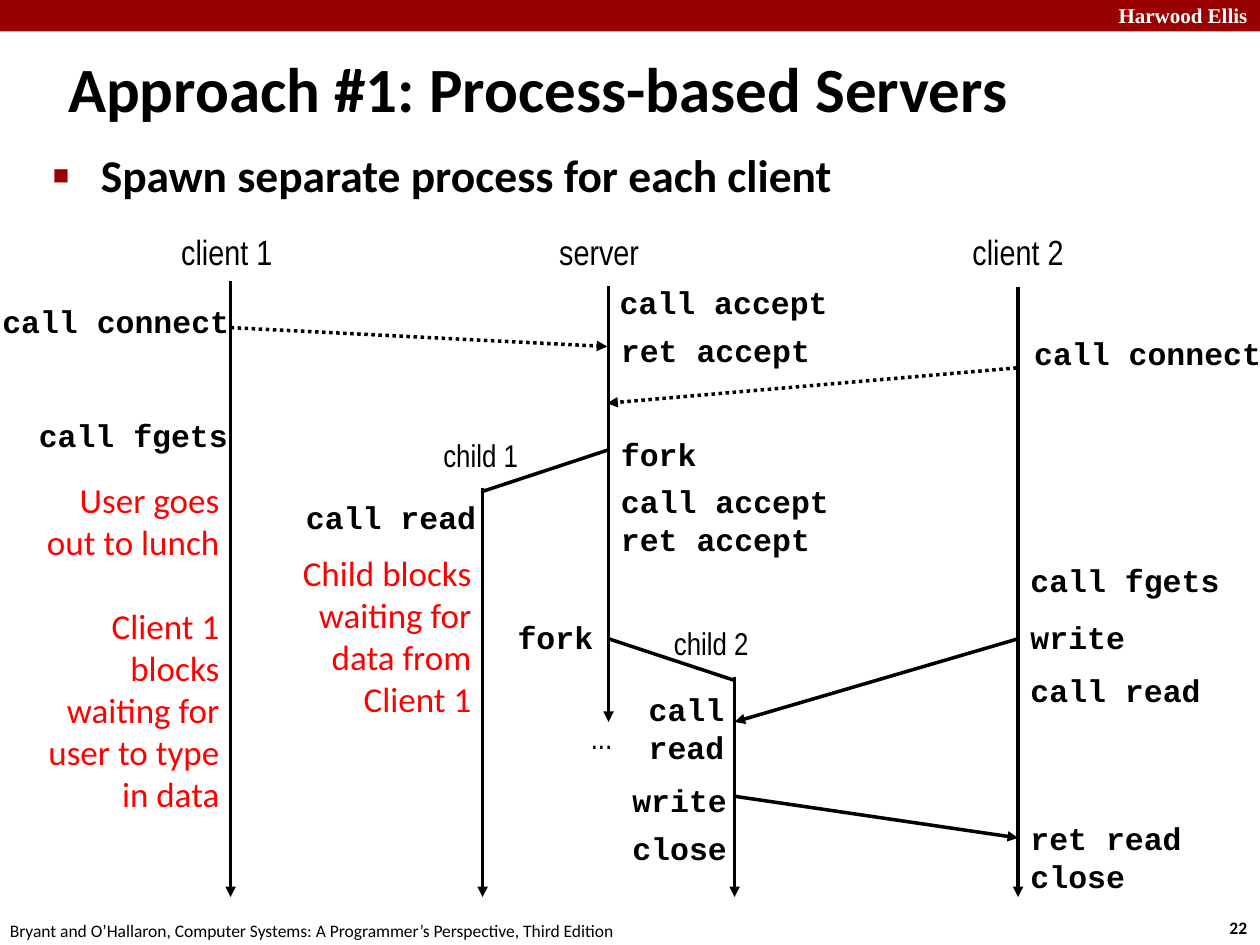
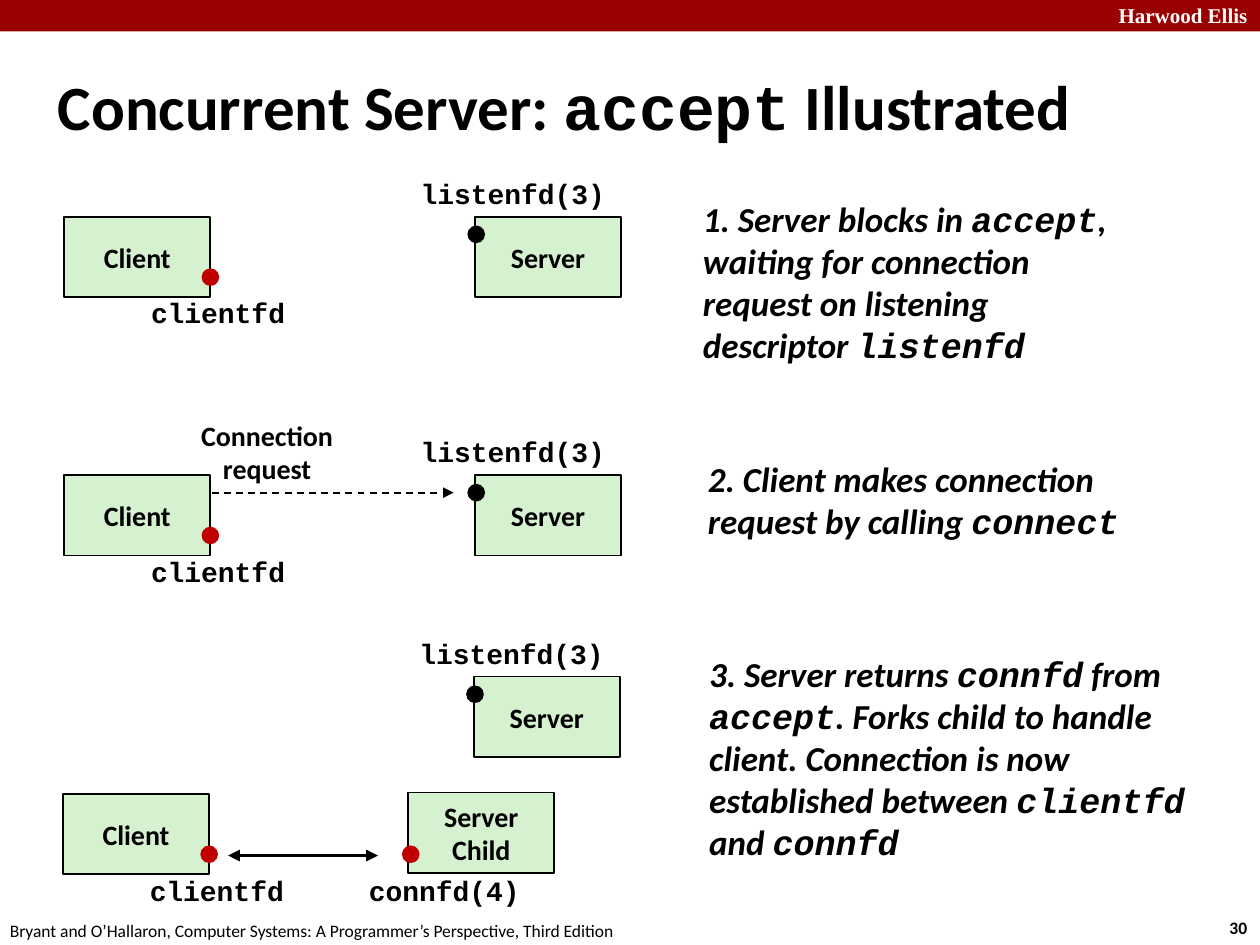
"""Build two slides on process-based concurrent servers."""
from dataclasses import dataclass, replace

import pptx
import pptx.dml.color
import pptx.enum.dml
import pptx.enum.shapes
import pptx.enum.text
import pptx.oxml
import pptx.oxml.ns
import pptx.presentation
import pptx.shapes.base
import pptx.slide
import pptx.text.text
import pptx.util

Inches = pptx.util.Inches
PRESET = pptx.enum.shapes.MSO_SHAPE
ALIGN = pptx.enum.text.PP_ALIGN
ANCHOR = pptx.enum.text.MSO_ANCHOR
DASH = pptx.enum.dml.MSO_LINE
Point = tuple[float, float]
Box = tuple[float, float, float, float]

CRIMSON, BLACK, WHITE = "990000", "000000", "FFFFFF"
ALERT, SOCKET, PALE_GREEN = "FF0000", "C00000", "D5F1CF"
CODE_FONT = "Courier New"


@dataclass(frozen=True)
class TextStyle:
    size: float
    font: str = "Calibri"
    colour: str = BLACK
    bold: bool = False
    italic: bool = False
    align: ALIGN = ALIGN.LEFT


@dataclass(frozen=True)
class Arrow:
    start: Point
    end: Point
    width: float = 2
    dash: DASH | None = None
    ends: tuple[str, ...] = ("tailEnd",)


@dataclass(frozen=True)
class Role:
    caption: str
    socket_colour: str
    socket_offset: Point
    caption_offset: Point


@dataclass(frozen=True)
class Endpoint:
    name: str
    left: float
    top: float
    role: Role


TITLE = TextStyle(36, bold=True)
BULLET = TextStyle(26, bold=True)
FOOTER = TextStyle(10)
BRAND = TextStyle(12, "Times New Roman", WHITE, bold=True, align=ALIGN.RIGHT)
CALL = TextStyle(18, CODE_FONT, bold=True)
CAPTION = replace(CALL, size=16)
ACTOR = TextStyle(20, "Arial Narrow")
CHILD = replace(ACTOR, size=18)
BLOCKED = TextStyle(20, colour=ALERT, align=ALIGN.RIGHT)
NODE = TextStyle(16, bold=True, align=ALIGN.CENTER)
STEP = TextStyle(20, bold=True, italic=True)

CLIENT = Role("clientfd", SOCKET, (1.09, 0.41), (0.59, 0.58))
SERVER = Role("listenfd(3)", BLACK, (-0.06, 0.07), (-0.53, -0.37))
SERVER_CHILD = Role("connfd(4)", SOCKET, (-0.05, 0.42), (-0.41, 0.59))

ACTORS = [("client 1", (1.34, 1.78, 0.93, 0.44), ACTOR),
          ("server", (4.34, 1.78, 0.84, 0.44), ACTOR),
          ("client 2", (7.62, 1.78, 0.93, 0.44), ACTOR),
          ("child 1", (3.42, 3.41, 0.92, 0.4), CHILD),
          ("child 2", (5.25, 4.9, 0.92, 0.4), CHILD),
          ("...", (4.59, 5.65, 0.41, 0.4), CHILD)]

LIFELINES = [(1.83, 2.23, 7.12), (4.83, 2.27, 5.73), (8.08, 2.28, 7.12),
             (3.83, 3.87, 7.12), (5.83, 5.37, 7.12)]

MESSAGES = [Arrow((1.83, 2.6), (4.82, 2.75), dash=DASH.ROUND_DOT),
            Arrow((8.07, 2.92), (4.82, 3.2), dash=DASH.ROUND_DOT),
            Arrow((4.83, 3.57), (3.83, 3.9), ends=()),
            Arrow((4.83, 5.07), (5.83, 5.4), ends=()),
            Arrow((8.08, 5.07), (5.83, 5.73)),
            Arrow((5.83, 6.32), (8.08, 6.65))]

CALLS = [("call connect", -0.08, 2.35), ("call fgets", 0.21, 3.25),
         ("call accept", 4.82, 2.2), ("ret accept", 4.83, 2.58),
         ("fork", 4.83, 3.4), ("call accept", 4.83, 3.78),
         ("ret accept", 4.83, 4.08), ("call read", 2.33, 3.9),
         ("fork", 4.01, 4.86), ("call\nread", 5.05, 5.43),
         ("write", 4.92, 6.15), ("close", 4.92, 6.53),
         ("call connect", 8.11, 2.6), ("call fgets", 8.08, 4.4),
         ("write", 8.08, 4.86), ("call read", 8.08, 5.28),
         ("ret read", 8.08, 6.45), ("close", 8.08, 6.75)]

ENDPOINTS = [Endpoint("Client", 0.51, 1.72, CLIENT),
             Endpoint("Server", 3.77, 1.72, SERVER),
             Endpoint("Client", 0.51, 3.77, CLIENT),
             Endpoint("Server", 3.77, 3.77, SERVER),
             Endpoint("Server", 3.76, 5.37, SERVER),
             Endpoint("Client", 0.5, 6.3, CLIENT),
             Endpoint("Server\nChild", 3.24, 6.29, SERVER_CHILD)]

STEPS = [("1. Server blocks in `accept`, waiting for connection request on "
          "listening descriptor `listenfd`", (5.48, 1.52, 3.6, 1.45)),
         ("2. Client makes connection request by calling `connect`",
          (5.52, 3.58, 4.01, 0.77)),
         ("3. Server returns `connfd` from `accept`. Forks child to handle "
          "client. Connection is now established between `clientfd` and "
          "`connfd`", (5.53, 5.13, 4.39, 1.78))]


def rgb(colour: str) -> pptx.dml.color.RGBColor:
    return pptx.dml.color.RGBColor.from_string(colour)


def write(frame: pptx.text.text.TextFrame, text: str, style: TextStyle) -> None:
    for index, line in enumerate(text.split("\n")):
        paragraph = frame.add_paragraph() if index else frame.paragraphs[0]
        paragraph.alignment = style.align
        font = paragraph.font
        font.size = pptx.util.Pt(style.size)
        font.bold, font.italic = style.bold, style.italic
        font.color.rgb = rgb(style.colour)
        font.name = style.font
        for part, words in enumerate(line.split("`")):
            if words:
                run = paragraph.add_run()
                run.text = words
                if "`" in line:
                    run.font.name = CODE_FONT if part % 2 else style.font


def add_text(slide: pptx.slide.Slide, text: str, box: Box, style: TextStyle,
             wrap: bool = False) -> pptx.text.text.TextFrame:
    frame = slide.shapes.add_textbox(*map(Inches, box)).text_frame
    frame.word_wrap = wrap
    frame.auto_size = pptx.enum.text.MSO_AUTO_SIZE.SHAPE_TO_FIT_TEXT
    write(frame, text, style)
    return frame


def add_code(slide: pptx.slide.Slide, text: str, left: float, top: float,
             style: TextStyle) -> None:
    lines = text.split("\n")
    width = 0.2 + max(map(len, lines)) * style.size * 0.6 / 72
    height = 0.1 + len(lines) * style.size * 1.2 / 72
    add_text(slide, text, (left, top, width, height), style)


def add_filled(slide: pptx.slide.Slide, preset: PRESET, box: Box, fill: str,
               outline: str | None = None) -> pptx.shapes.base.BaseShape:
    shape = slide.shapes.add_shape(preset, *map(Inches, box))
    shape.shadow.inherit = False
    shape.fill.solid()
    shape.fill.fore_color.rgb = rgb(fill)
    if outline:
        shape.line.color.rgb = rgb(outline)
        shape.line.width = pptx.util.Pt(1)
    else:
        shape.line.fill.background()
    return shape


def add_arrow(slide: pptx.slide.Slide, arrow: Arrow) -> None:
    connector = slide.shapes.add_connector(
        pptx.enum.shapes.MSO_CONNECTOR.STRAIGHT,
        *map(Inches, arrow.start + arrow.end))
    connector.line.color.rgb = rgb(BLACK)
    connector.line.width = pptx.util.Pt(arrow.width)
    if arrow.dash:
        connector.line.dash_style = arrow.dash
    properties = connector.element.spPr
    stroke = properties.find(pptx.oxml.ns.qn("a:ln"))
    for end in arrow.ends:
        stroke.append(pptx.oxml.parse_xml(
            f'<a:{end} {pptx.oxml.ns.nsdecls("a")} type="triangle"/>'))
    properties.append(pptx.oxml.parse_xml(
        f'<a:effectLst {pptx.oxml.ns.nsdecls("a")}/>'))


def fill_placeholder(placeholder: pptx.shapes.base.BaseShape, text: str,
                     box: Box, style: TextStyle, anchor: ANCHOR) -> None:
    placeholder.left, placeholder.top, placeholder.width, placeholder.height = map(Inches, box)
    frame = placeholder.text_frame
    frame.auto_size = pptx.enum.text.MSO_AUTO_SIZE.NONE
    frame.vertical_anchor = anchor
    write(frame, text, style)


def add_bullet(paragraph: pptx.text.text._Paragraph) -> None:
    paragraph.space_before = pptx.util.Pt(5.2)
    properties = paragraph._p.get_or_add_pPr()
    properties.set("marL", str(Inches(0.38)))
    properties.set("indent", str(-Inches(0.38)))
    font_defaults = properties.find(pptx.oxml.ns.qn("a:defRPr"))
    for tag in (f'buClr {{}}><a:srgbClr val="{CRIMSON}"/></a:buClr>',
                'buSzPct {} val="60000"/>',
                'buFont {} typeface="Arial"/>',
                'buChar {} char="■"/>'):
        font_defaults.addprevious(pptx.oxml.parse_xml(
            "<a:" + tag.format(pptx.oxml.ns.nsdecls("a"))))


def start_slide(deck: pptx.presentation.Presentation, layout: str, title: str,
                title_box: Box, number: str) -> pptx.slide.Slide:
    slide = deck.slides.add_slide(deck.slide_layouts.get_by_name(layout))
    add_filled(slide, PRESET.RECTANGLE, (0, 0, 10, 0.25), CRIMSON)
    add_text(slide, "Harwood Ellis", (8.6, -0.03, 1.4, 0.3), BRAND, wrap=True)
    add_text(slide, number, (9.66, 7.23, 0.37, 0.27), replace(FOOTER, bold=True))
    add_text(slide, "Bryant and O’Hallaron, Computer Systems: A Programmer’s "
             "Perspective, Third Edition", (-0.02, 7.25, 5.08, 0.27), FOOTER)
    fill_placeholder(slide.shapes.title, title, title_box, TITLE, ANCHOR.MIDDLE)
    return slide


def add_endpoint(slide: pptx.slide.Slide, endpoint: Endpoint) -> None:
    left, top, role = endpoint.left, endpoint.top, endpoint.role
    node = add_filled(slide, PRESET.RECTANGLE, (left, top, 1.16, 0.64),
                      PALE_GREEN, BLACK)
    node.text_frame.word_wrap = False
    node.text_frame.vertical_anchor = ANCHOR.MIDDLE
    write(node.text_frame, endpoint.name, NODE)
    dx, dy = role.socket_offset
    add_filled(slide, PRESET.OVAL, (left + dx, top + dy, 0.14, 0.14),
               role.socket_colour)
    dx, dy = role.caption_offset
    add_code(slide, role.caption, left + dx, top + dy, CAPTION)


def build_process_slide(deck: pptx.presentation.Presentation) -> None:
    slide = start_slide(deck, "Title and Content",
                        "Approach #1: Process-based Servers",
                        (0.44, 0.27, 9.54, 0.85), "22")
    body = slide.placeholders[1]
    fill_placeholder(body, "Spawn separate process for each client",
                     (0.32, 1.12, 9.68, 5.92), BULLET, ANCHOR.TOP)
    add_bullet(body.text_frame.paragraphs[0])
    for x, top, bottom in LIFELINES:
        add_arrow(slide, Arrow((x, top), (x, bottom)))
    for message in MESSAGES:
        add_arrow(slide, message)
    for name, box, style in ACTORS:
        add_text(slide, name, box, style)
    for call, left, top in CALLS:
        add_code(slide, call, left, top, CALL)
    lunch = add_text(slide, "User goes out to lunch\nClient 1 blocks\n"
                     "waiting for user to type in data",
                     (0.17, 3.75, 1.67, 2.79), BLOCKED, wrap=True)
    lunch.paragraphs[1].space_before = pptx.util.Pt(24)
    add_text(slide, "Child blocks waiting for data from Client 1",
             (2.17, 4.33, 1.67, 1.45), BLOCKED, wrap=True)


def build_accept_slide(deck: pptx.presentation.Presentation) -> None:
    slide = start_slide(deck, "Title Only",
                        "Concurrent Server: `accept` Illustrated",
                        (0.36, 0.52, 9.17, 0.63), "30")
    for endpoint in ENDPOINTS:
        add_endpoint(slide, endpoint)
    for step, box in STEPS:
        add_text(slide, step, box, STEP, wrap=True)
    add_text(slide, "Connection\nrequest", (1.49, 3.27, 1.26, 0.64), NODE)
    add_arrow(slide, Arrow((1.68, 3.91), (3.6, 3.91), 1, DASH.DASH))
    add_arrow(slide, Arrow((1.81, 6.79), (3, 6.79), 2.25,
                           ends=("headEnd", "tailEnd")))


def main() -> None:
    deck = pptx.Presentation()
    deck.slide_width, deck.slide_height = Inches(10), Inches(7.5)
    build_process_slide(deck)
    build_accept_slide(deck)
    deck.save("out.pptx")


if __name__ == "__main__":
    main()
